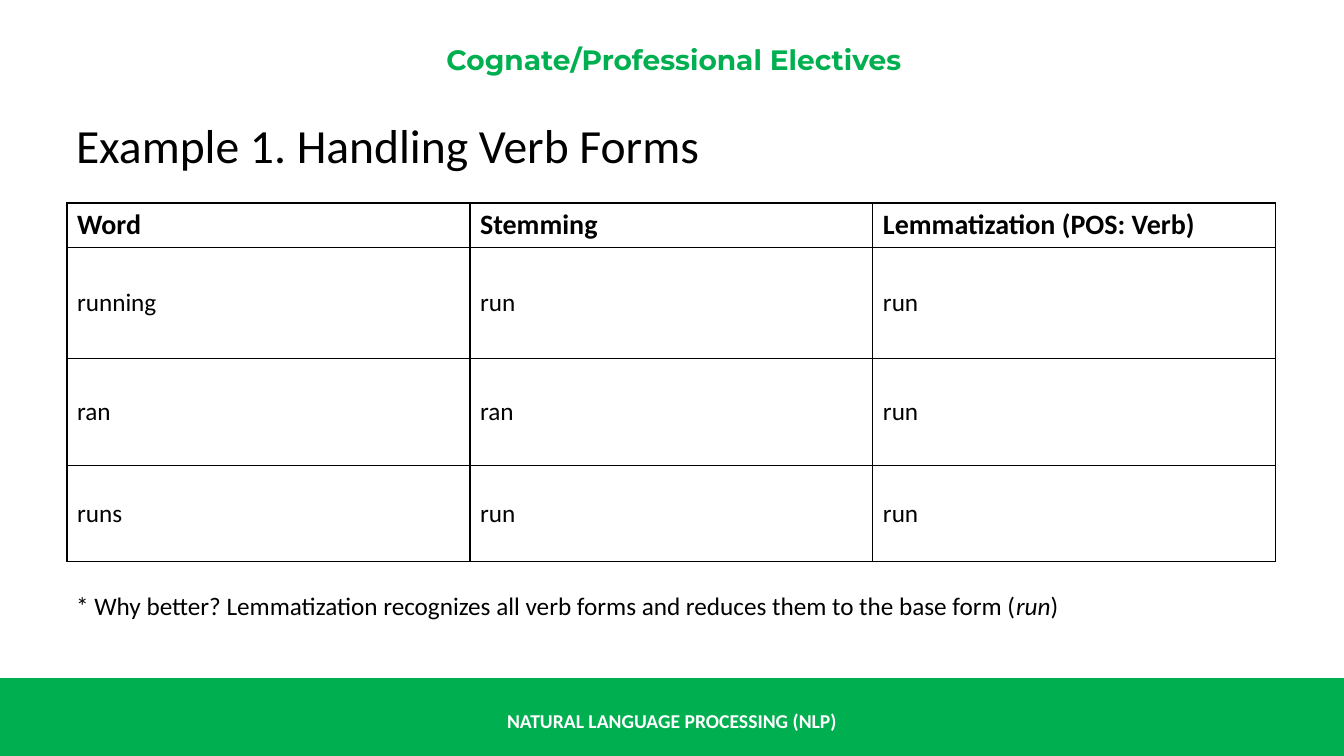
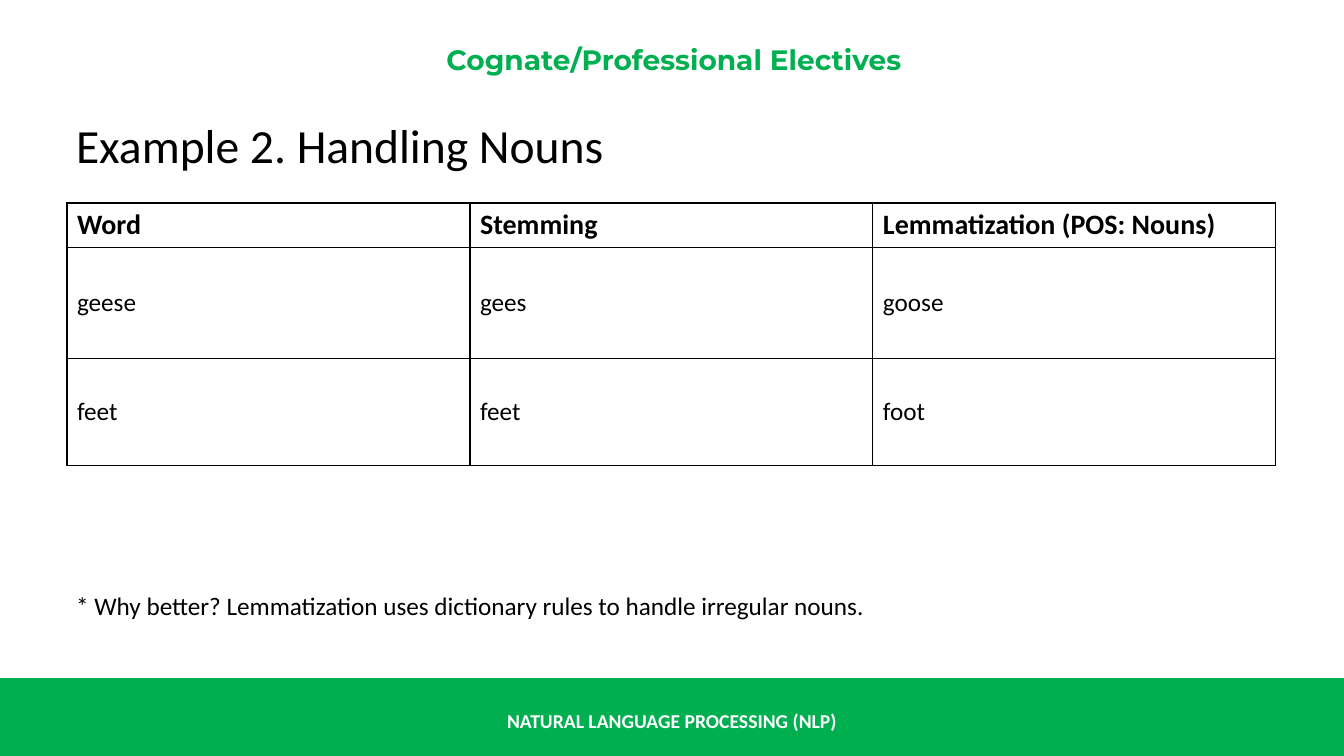
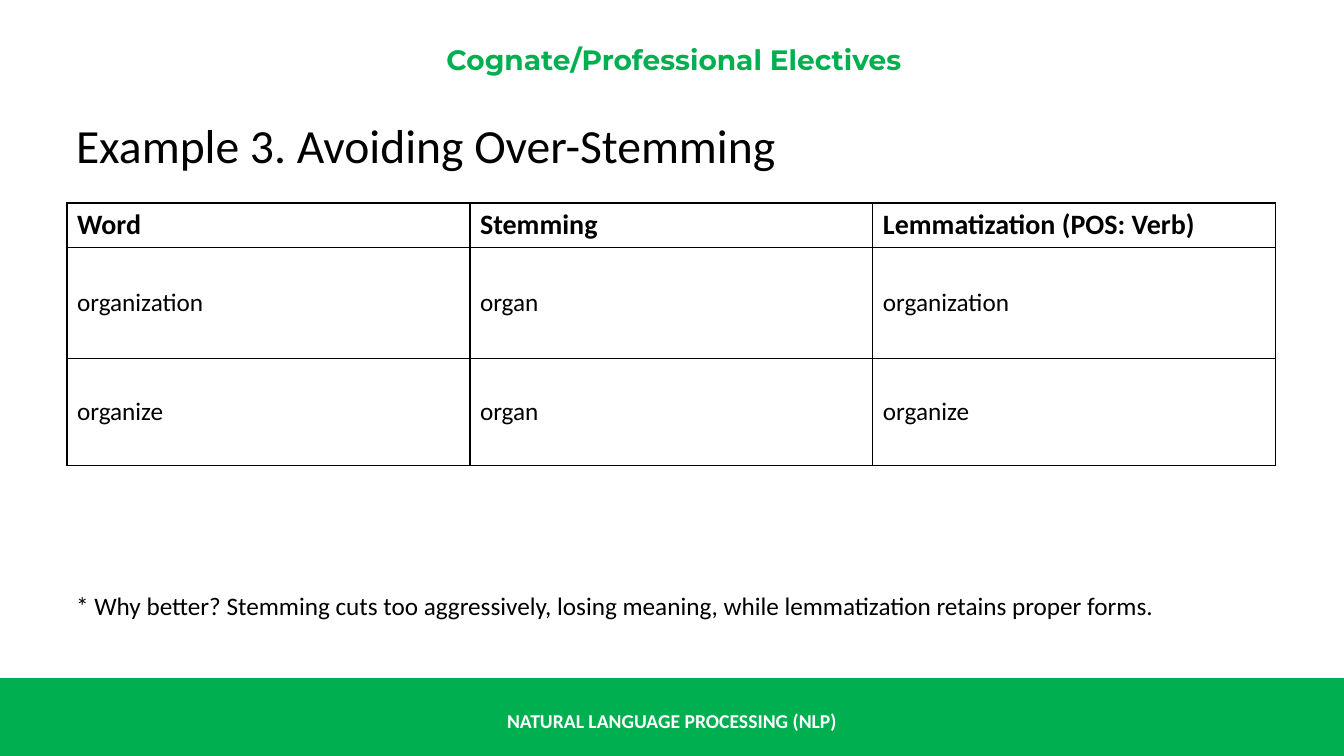
from dataclasses import dataclass

from lxml import etree
from pptx import Presentation
from pptx.dml.color import RGBColor
from pptx.enum.shapes import MSO_SHAPE
from pptx.enum.text import MSO_ANCHOR, MSO_AUTO_SIZE, PP_ALIGN
from pptx.oxml.ns import qn
from pptx.util import Pt

RECT = MSO_SHAPE.RECTANGLE
TOP, MIDDLE = MSO_ANCHOR.TOP, MSO_ANCHOR.MIDDLE
LEFT, CENTER = PP_ALIGN.LEFT, PP_ALIGN.CENTER
FIXED = MSO_AUTO_SIZE.NONE

# Content; every second part of a note is italic
HEADER = "Cognate/Professional Electives"
FOOTER = "NATURAL LANGUAGE PROCESSING (NLP)"
EXAMPLES = [
    {
        "title": "Example 1. Handling Verb Forms",
        "rows": [
            ("Word", "Stemming", "Lemmatization (POS: Verb)"),
            ("running", "run", "run"),
            ("ran", "ran", "run"),
            ("runs", "run", "run"),
        ],
        "note": ("* Why better? Lemmatization recognizes all verb forms "
                 "and reduces them to the base form (", "run", ")"),
    },
    {
        "title": "Example 2. Handling Nouns",
        "rows": [
            ("Word", "Stemming", "Lemmatization (POS: Nouns)"),
            ("geese", "gees", "goose"),
            ("feet", "feet", "foot"),
        ],
        "note": ("* Why better? Lemmatization uses dictionary rules "
                 "to handle irregular nouns.",),
    },
    {
        "title": "Example 3. Avoiding Over-Stemming",
        "rows": [
            ("Word", "Stemming", "Lemmatization (POS: Verb)"),
            ("organization", "organ", "organization"),
            ("organize", "organ", "organize"),
        ],
        "note": ("* Why better? Stemming cuts too aggressively, losing "
                 "meaning, while lemmatization retains proper forms.",),
    },
]


@dataclass(frozen=True)
class Theme:
    green: str = "00B050"
    black: str = "000000"
    white: str = "FFFFFF"
    body: str = "Calibri"
    display: str = "Montserrat"
    title: int = 34
    head: int = 20
    text: int = 18
    foot: int = 14
    rule: int = 1


THEME = Theme()

# Layout in px
WIDE, HIGH = 1344, 756
SCALE = 12192000 / WIDE
BAND = (0, 678, WIDE, 78)
FOOT_BOX = (0, 701, WIDE, 40)
HEAD_BOX = (28, 42, 1292, 34)
TITLE_BOX = (66, 111, 1216, 68)
NOTE_BOX = (66, 585, 1216, 40)
GRID_LEFT, GRID_TOP, COL = 67, 203, 403
ROWS = (44, 111, 107, 96)


def px(n):
    return round(n * SCALE)


def place(shape, box):
    shape.left, shape.top, shape.width, shape.height = map(px, box)


def style(para, size, color=THEME.black, bold=False, font=THEME.body):
    for run in para.runs:
        run.font.size, run.font.bold, run.font.name = Pt(size), bold, font
        run.font.color.rgb = RGBColor.from_string(color)


def label(slide, text, box, size, color, font):
    shape = slide.shapes.add_textbox(*map(px, box))
    frame = shape.text_frame
    frame.word_wrap = True
    frame.vertical_anchor = MIDDLE
    frame.text = text
    para = frame.paragraphs[0]
    para.alignment = CENTER
    style(para, size, color, True, font)
    return shape


def frame_deck(slide):
    """Build the band, footer and header, then move them to the layout."""
    band = slide.shapes.add_shape(RECT, *map(px, BAND))
    band.shadow.inherit = False
    band.fill.solid()
    band.fill.fore_color.rgb = RGBColor.from_string(THEME.green)
    band.line.fill.background()
    foot = label(slide, FOOTER, FOOT_BOX, THEME.foot, THEME.white, THEME.body)
    head = label(slide, HEADER, HEAD_BOX, THEME.head, THEME.green, THEME.display)
    for shape in (band, foot, head):
        slide.slide_layout.shapes.element.append(shape.element)


def fill_title(shape, text):
    frame = shape.text_frame
    frame.auto_size = FIXED
    frame.vertical_anchor = TOP
    frame.text = text
    frame.paragraphs[0].alignment = LEFT
    style(frame.paragraphs[0], THEME.title)


def fill_note(shape, parts):
    frame = shape.text_frame
    frame.auto_size = FIXED
    para = frame.paragraphs[0]
    for i, part in enumerate(parts):
        run = para.add_run()
        run.text = part
        run.font.italic = i % 2 == 1
    para.space_before = Pt(0)
    style(para, THEME.text)
    props = para._p.get_or_add_pPr()
    props.set("marL", "0")
    props.set("indent", "0")
    etree.SubElement(props, qn("a:buNone"))


def outline(cell):
    props = cell._tc.get_or_add_tcPr()
    for i, side in enumerate(("lnL", "lnR", "lnT", "lnB")):
        line = etree.Element(qn("a:" + side), w=str(Pt(THEME.rule)))
        fill = etree.SubElement(line, qn("a:solidFill"))
        etree.SubElement(fill, qn("a:srgbClr"), val=THEME.black)
        props.insert(i, line)


def add_grid(slide, rows):
    cols = len(rows[0])
    highs = ROWS[:len(rows)]
    box = (GRID_LEFT, GRID_TOP, COL * cols, sum(highs))
    table = slide.shapes.add_table(len(rows), cols, *map(px, box)).table
    table.first_row = table.horz_banding = False
    for r, (words, high) in enumerate(zip(rows, highs)):
        table.rows[r].height = px(high)
        for c, word in enumerate(words):
            cell = table.cell(r, c)
            cell.text = word
            cell.vertical_anchor = MIDDLE
            cell.fill.background()
            outline(cell)
            size = THEME.text if r else THEME.head
            style(cell.text_frame.paragraphs[0], size, bold=r == 0)


def main():
    deck = Presentation()
    deck.slide_width, deck.slide_height = px(WIDE), px(HIGH)
    layout = deck.slide_layouts[1]

    # Shared places for title and note
    place(layout.placeholders[0], TITLE_BOX)
    place(layout.placeholders[1], NOTE_BOX)

    for i, item in enumerate(EXAMPLES):
        slide = deck.slides.add_slide(layout)
        if i == 0:
            frame_deck(slide)
        fill_title(slide.shapes.title, item["title"])
        fill_note(slide.placeholders[1], item["note"])
        add_grid(slide, item["rows"])
    deck.save("out.pptx")


if __name__ == "__main__":
    main()
